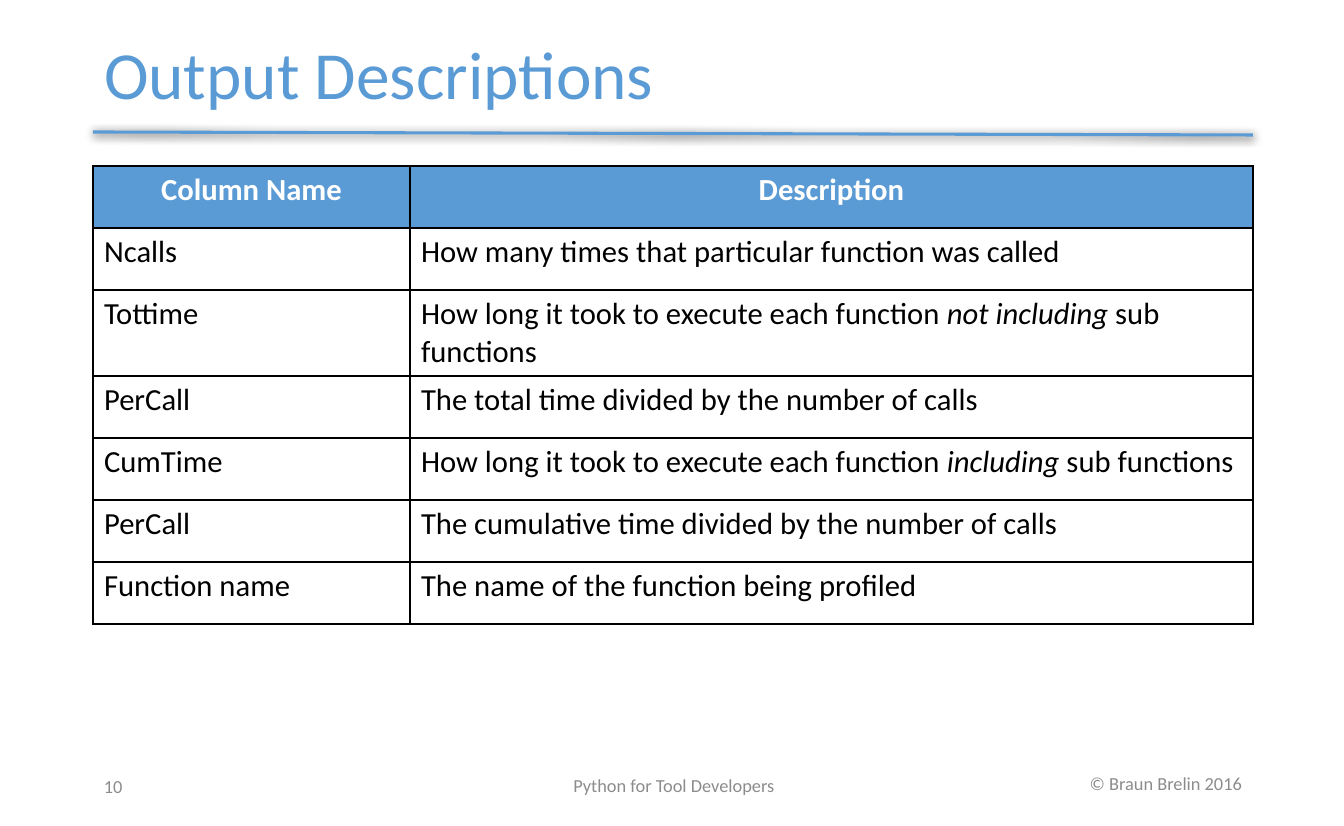
from lxml import etree
from pptx import Presentation
from pptx.dml.color import RGBColor
from pptx.enum.shapes import MSO_CONNECTOR
from pptx.enum.text import MSO_ANCHOR, PP_ALIGN
from pptx.oxml import parse_xml
from pptx.oxml.ns import nsdecls, qn
from pptx.util import Pt

BLUE = RGBColor(0x5B, 0x9B, 0xD5)
GREY = RGBColor(0x8C, 0x8C, 0x8C)
BLACK = RGBColor(0, 0, 0)
WHITE = RGBColor(255, 255, 255)

LEFT, CENTER, RIGHT = PP_ALIGN.LEFT, PP_ALIGN.CENTER, PP_ALIGN.RIGHT
MIDDLE = MSO_ANCHOR.MIDDLE
STRAIGHT = MSO_CONNECTOR.STRAIGHT

SCALE = 914400 / 110.2  # EMU per pixel
MARGIN, CONTENT_WIDTH = 93, 1160
NAME_WIDTH, ROW_HEIGHT = 317, 62


def emu(*pixels):
    return [round(value * SCALE) for value in pixels]


def write(frame, text, size=20, color=BLACK, bold=False, align=LEFT, spacing=None):
    """Fill a text frame; spans between asterisks become italic."""
    paragraph = frame.paragraphs[0]
    paragraph.alignment = align
    paragraph.line_spacing = spacing
    for index, part in enumerate(text.split("*")):
        span = paragraph.add_run()
        span.text = part
        font = span.font
        font.name, font.size, font.bold = "Calibri", Pt(size), bold
        font.italic = index % 2 == 1
        font.color.rgb = color


class Page:
    def __init__(self, deck):
        self.slide = deck.slides.add_slide(deck.slide_layouts[5])
        self.shapes = self.slide.shapes

    def title(self, text, *place):
        box = self.shapes.title
        box.left, box.top, box.width, box.height = emu(*place)
        box.text_frame.vertical_anchor = MIDDLE
        write(box.text_frame, text, size=44, color=BLUE, spacing=0.9)

    def footer(self, text, *place, align=LEFT):
        frame = self.shapes.add_textbox(*emu(*place)).text_frame
        frame.word_wrap = True
        frame.vertical_anchor = MIDDLE
        write(frame, text, size=12, color=GREY, align=align)

    def rule(self, *ends):
        line = self.shapes.add_connector(STRAIGHT, *emu(*ends))
        line.line.color.rgb = BLUE
        line.line.width = Pt(2)
        line._element.spPr.append(parse_xml(
            f'<a:effectLst {nsdecls("a")}><a:outerShdw blurRad="{Pt(6)}" '
            f'dist="{Pt(1)}" dir="5400000" algn="t" rotWithShape="0">'
            '<a:srgbClr val="000000"><a:alpha val="67000"/></a:srgbClr>'
            '</a:outerShdw></a:effectLst>'))

    def table(self, rows, left, top, widths, row_height):
        place = emu(left, top, sum(widths), row_height * len(rows))
        table = self.shapes.add_table(len(rows), len(widths), *place).table
        table.horz_banding = False
        for column, width in zip(table.columns, emu(*widths)):
            column.width = width
        for row_index, texts in enumerate(rows):
            for column_index, text in enumerate(texts):
                cell = table.cell(row_index, column_index)
                if row_index == 0:
                    cell.fill.solid()
                    cell.fill.fore_color.rgb = BLUE
                    write(cell.text_frame, text, color=WHITE, bold=True, align=CENTER)
                else:
                    cell.fill.background()
                    write(cell.text_frame, text)
                self.borders(cell)

    def borders(self, cell):
        properties = cell._tc.get_or_add_tcPr()
        for index, side in enumerate(("lnL", "lnR", "lnT", "lnB")):
            edge = etree.Element(qn(f"a:{side}"), w=str(Pt(1)))
            fill = etree.SubElement(edge, qn("a:solidFill"))
            etree.SubElement(fill, qn("a:srgbClr"), val=str(BLACK))
            properties.insert(index, edge)


deck = Presentation()
deck.slide_width, deck.slide_height = emu(1344, 826)
page = Page(deck)

# Heading
page.rule(MARGIN, 132, MARGIN + CONTENT_WIDTH, 135)
page.title("Output Descriptions", MARGIN, 23, CONTENT_WIDTH, 109)

# Profiler columns
page.table([
    ("Column Name", "Description"),
    ("Ncalls", "How many times that particular function was called"),
    ("Tottime", "How long it took to execute each function *not including* sub functions"),
    ("PerCall", "The total time divided by the number of calls"),
    ("CumTime", "How long it took to execute each function *including* sub functions"),
    ("PerCall", "The cumulative time divided by the number of calls"),
    ("Function name", "The name of the function being profiled"),
], MARGIN, 166, (NAME_WIDTH, CONTENT_WIDTH - NAME_WIDTH), ROW_HEIGHT)

# Footer
page.footer("10", MARGIN, 764, 100, 44)
page.footer("Python for Tool Developers", 436, 762, 476, 46, align=CENTER)
page.footer("© Braun Brelin 2016", 1061, 761, 192, 44, align=RIGHT)

deck.save("out.pptx")
